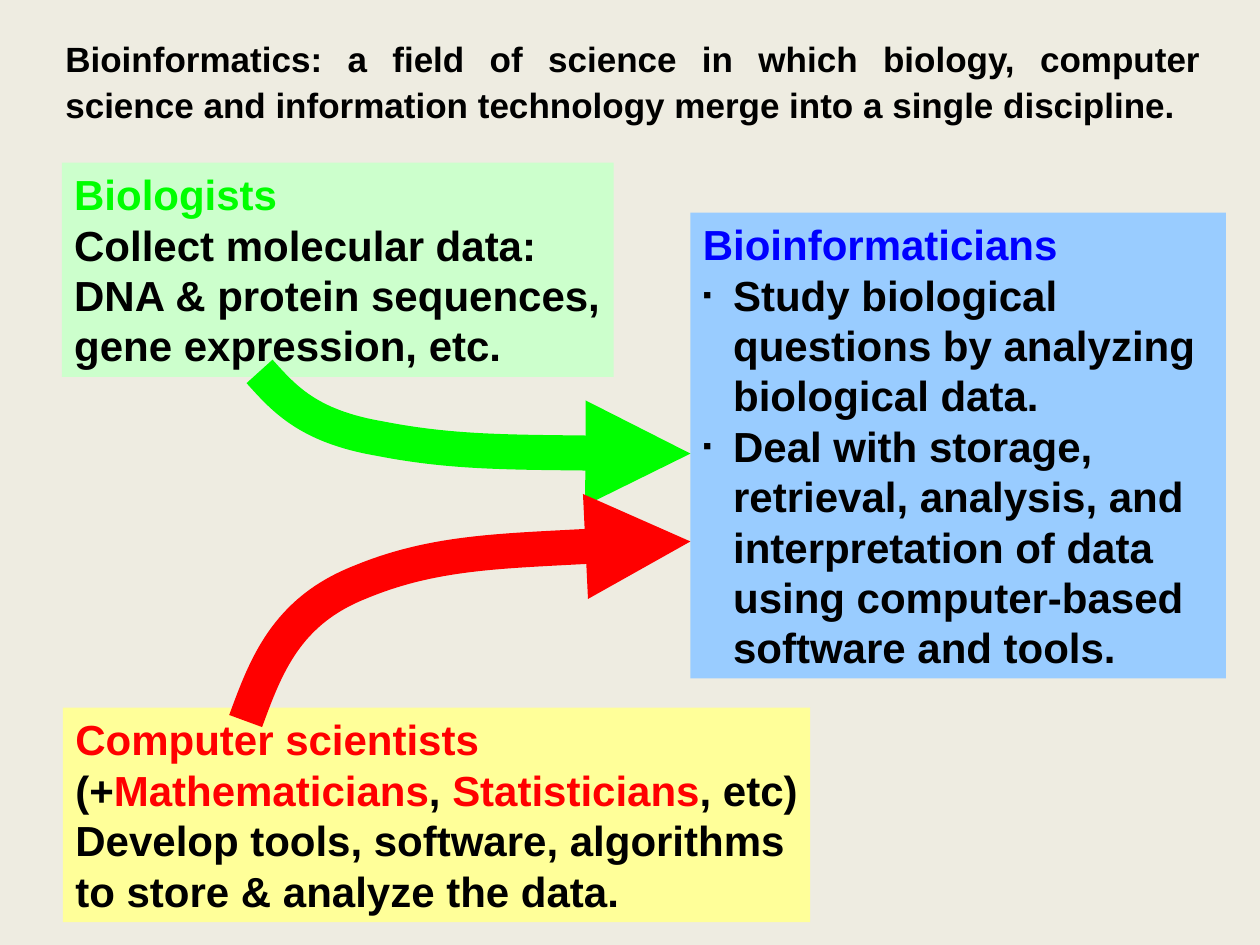
from lxml.etree import SubElement
from pptx import Presentation
from pptx.dml.color import RGBColor
from pptx.enum.shapes import MSO_SHAPE
from pptx.enum.text import MSO_ANCHOR, MSO_AUTO_SIZE, PP_ALIGN
from pptx.oxml.ns import qn
from pptx.util import Inches, Pt

BACKGROUND = RGBColor(0xEE, 0xEC, 0xE1)
BLACK = RGBColor(0, 0, 0)
GREEN = RGBColor(0, 0xFF, 0)
RED = RGBColor(0xFF, 0, 0)
BLUE = RGBColor(0, 0, 0xFF)
PALE_GREEN = RGBColor(0xCC, 0xFF, 0xCC)
PALE_YELLOW = RGBColor(0xFF, 0xFF, 0x99)
PALE_BLUE = RGBColor(0x99, 0xCC, 0xFF)

deck = Presentation()
deck.slide_width, deck.slide_height = Inches(10), Inches(7.5)
slide = deck.slides.add_slide(deck.slide_layouts[6])
slide.background.fill.solid()
slide.background.fill.fore_color.rgb = BACKGROUND

# Grid of 100 columns by 100 rows
COL, ROW = deck.slide_width / 100, deck.slide_height / 100


def on_grid(*lengths):
    """Turn alternating columns and rows into slide lengths."""
    return [round(n * (ROW if i % 2 else COL)) for i, n in enumerate(lengths)]


def style(paragraph, size, color):
    font = paragraph.font
    font.name, font.size, font.bold = "Arial", Pt(size), True
    font.color.rgb = color


# Groups: place, fill, wrap, heading, heading colour, lines, bulleted.
# A line is a list of (text, colour); no colour means black.
groups = [
    ((4.9, 17.2, 43.8, 22.7), PALE_GREEN, False, "Biologists", GREEN, [
        [("Collect molecular data:", None)],
        [("DNA & protein sequences,", None)],
        [("gene expression, etc.", None)],
    ], False),
    ((5, 74.9, 59.3, 22.7), PALE_YELLOW, False, "Computer scientists", RED, [
        [("(+", None), ("Mathematicians", RED), (", ", None),
         ("Statisticians", RED), (", etc)", None)],
        [("Develop tools, software, algorithms \nto store & analyze the data.", None)],
    ], False),
    ((54.8, 22.5, 42.5, 49.3), PALE_BLUE, True, "Bioinformaticians", BLUE, [
        [("Study biological questions by analyzing biological data.", None)],
        [("Deal with storage, retrieval, analysis, and interpretation of data "
          "using computer-based software and tools.", None)],
    ], True),
]
for place, fill, wrap, heading, heading_color, lines, bulleted in groups:
    panel = slide.shapes.add_shape(MSO_SHAPE.RECTANGLE, *on_grid(*place))
    panel.shadow.inherit = False
    panel.fill.solid()
    panel.fill.fore_color.rgb = fill
    panel.line.fill.background()
    frame = panel.text_frame
    frame.word_wrap = wrap
    frame.auto_size = MSO_AUTO_SIZE.SHAPE_TO_FIT_TEXT
    frame.vertical_anchor = MSO_ANCHOR.TOP

    title = frame.paragraphs[0]
    title.text = heading
    title.alignment = PP_ALIGN.LEFT
    style(title, 24, heading_color)

    for line in lines:
        paragraph = frame.add_paragraph()
        paragraph.alignment = PP_ALIGN.LEFT
        if bulleted:
            props = paragraph._p.get_or_add_pPr()
            indent = round(2.4 * COL)
            props.set("marL", str(indent))
            props.set("indent", str(-indent))
            bullet_color = SubElement(props, qn("a:buClr"))
            SubElement(bullet_color, qn("a:srgbClr"), val=str(BLACK))
            SubElement(props, qn("a:buSzPct"), val="60000")
            SubElement(props, qn("a:buFont"), typeface="Arial")
            SubElement(props, qn("a:buChar"), char="▪")
        style(paragraph, 24, BLACK)
        for text, color in line:
            for i, part in enumerate(text.split("\n")):
                if i:
                    paragraph.add_line_break()
                run = paragraph.add_run()
                run.text = part
                if color:
                    run.font.color.rgb = color

# Curved arrows: a start, then two Bézier pieces of three points each
arrows = [
    (GREEN, [(20.6, 39.3), (22.5, 42.1), (24.4, 45.1), (30.1, 46.4),
             (35.8, 47.9), (45.3, 48), (54.8, 48)]),
    (RED, [(19.5, 76.3), (21.1, 70.5), (22.7, 64.7), (28.6, 61.6),
           (34.4, 58.4), (44.6, 57.9), (54.8, 57.3)]),
]
for color, points in arrows:
    start, *rest = [on_grid(*point) for point in points]
    builder = slide.shapes.build_freeform(*start, scale=1.0)
    builder.add_line_segments(rest, close=False)
    arrow = builder.convert_to_shape()
    arrow.shadow.inherit = False
    arrow.fill.background()
    arrow.line.color.rgb = color
    arrow.line.width = Pt(20)
    SubElement(arrow.line._get_or_add_ln(), qn("a:tailEnd"), type="triangle")

    # Turn each three straight segments into one cubic curve
    outline = arrow._element.spPr.find(".//" + qn("a:path"))
    segments = outline.findall(qn("a:lnTo"))
    for i in range(0, len(segments), 3):
        curve = SubElement(outline, qn("a:cubicBezTo"))
        for segment in segments[i:i + 3]:
            curve.append(segment[0])
            outline.remove(segment)

# Definition across the top
definition = slide.shapes.add_textbox(*on_grid(4.2, 2.9, 92.1, 11.2)).text_frame
definition.word_wrap = True
definition.auto_size = MSO_AUTO_SIZE.SHAPE_TO_FIT_TEXT
sentence = definition.paragraphs[0]
sentence.text = ("Bioinformatics: a field of science in which biology, computer science "
                 "and information technology merge into a single discipline. ")
sentence.alignment = PP_ALIGN.JUSTIFY
sentence.line_spacing = 1.1
style(sentence, 20, BLACK)

deck.save("out.pptx")
